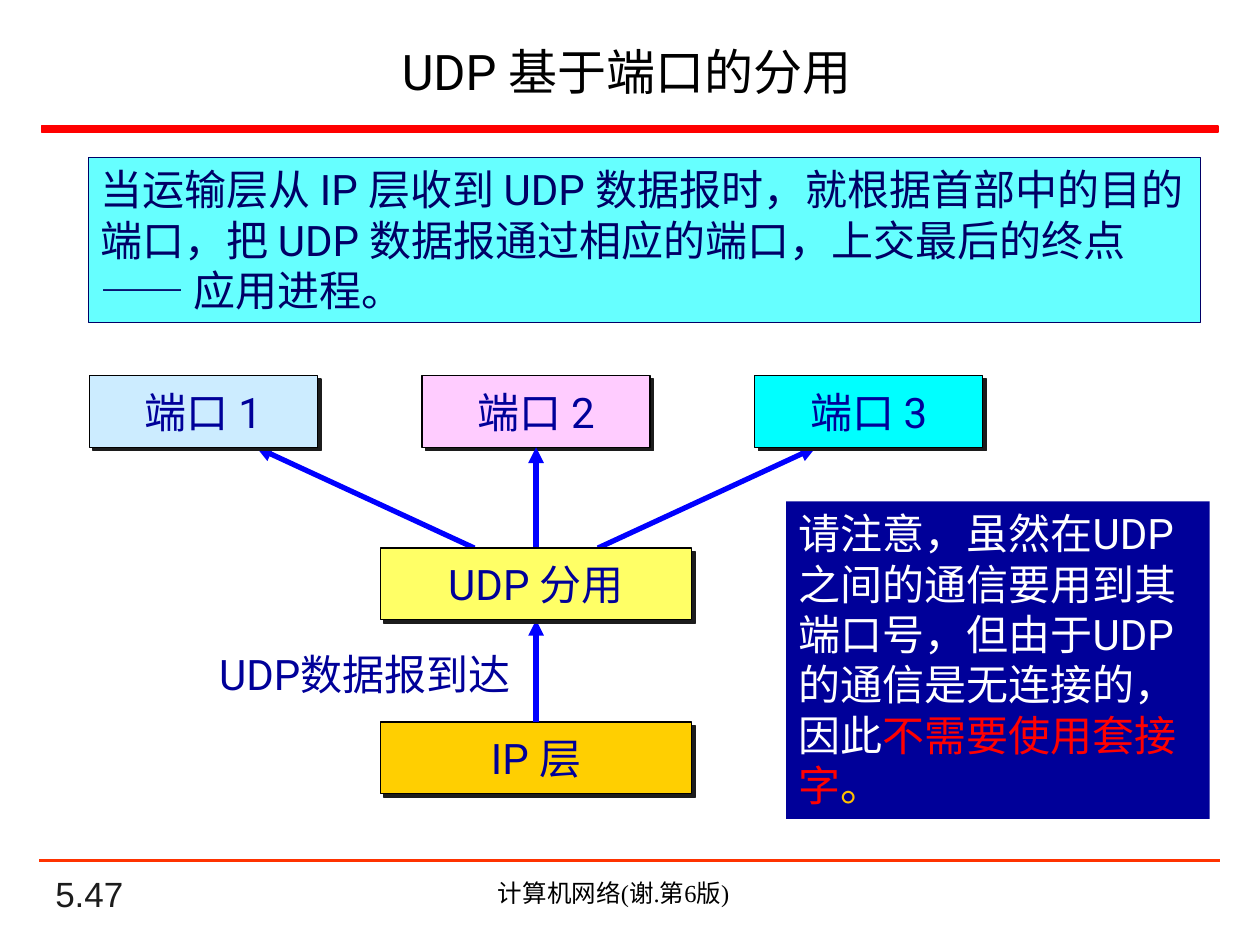
from dataclasses import dataclass

from lxml import etree
from pptx import Presentation, util as u
from pptx.dml.color import RGBColor
from pptx.enum import shapes, text
from pptx.oxml import ns

SANS = "Roboto"
NAVY = "000099"
BLACK = "000000"
MIDDLE, TOP = text.MSO_ANCHOR.MIDDLE, text.MSO_ANCHOR.TOP
LEFT, CENTER = text.PP_ALIGN.LEFT, text.PP_ALIGN.CENTER


@dataclass
class Span:
    words: str
    color: str = NAVY
    size: float = 24
    font: str = SANS


@dataclass
class Node:
    label: str
    left: float
    top: float
    width: float
    fill: str
    height: float = 0.57

    @property
    def center(self) -> float:
        return self.left + self.width / 2

    @property
    def bottom(self) -> float:
        return self.top + self.height


@dataclass
class Arrow:
    start: tuple
    end: tuple
    source: str = ""
    target: str = ""


def rgb(value: str) -> RGBColor:
    return RGBColor.from_string(value)


def add_child(parent, tag: str, **values):
    child = etree.SubElement(parent, ns.qn(tag))
    for name, value in values.items():
        child.set(name, str(value))
    return child


def write(box, spans: list, align=LEFT, anchor=TOP, wrap=True) -> None:
    frame = box.text_frame
    for name, value in {"word_wrap": wrap, "vertical_anchor": anchor}.items():
        setattr(frame, name, value)
    para = frame.paragraphs[0]
    para.alignment = align
    for item in spans:
        span = para.add_run()
        span.text = item.words
        for name, value in {"name": item.font, "size": u.Pt(item.size)}.items():
            setattr(span.font, name, value)
        span.font.color.rgb = rgb(item.color)


def add_text(page, place: tuple, spans: list, **layout):
    box = page.shapes.add_textbox(*map(u.Inches, place))
    write(box, spans, **layout)
    return box


def add_box(page, place: tuple, fill: str, line: str = "", weight: float = 0.75):
    box = page.shapes.add_shape(shapes.MSO_SHAPE.RECTANGLE, *map(u.Inches, place))
    box.shadow.inherit = False
    box.fill.solid()
    box.fill.fore_color.rgb = rgb(fill)
    if line:
        box.line.color.rgb = rgb(line)
        box.line.width = u.Pt(weight)
    else:
        box.line.fill.background()
    return box


def add_node(page, node: Node):
    box = add_box(page, (node.left, node.top, node.width, node.height), node.fill, BLACK)
    effects = box._element.spPr.find(ns.qn("a:effectLst"))
    shadow = add_child(effects, "a:outerShdw", dist=u.Pt(2.8), dir=45 * 60000,
                       algn="ctr", rotWithShape=0)
    add_child(shadow, "a:srgbClr", val="1C1C1C")
    write(box, [Span(node.label)], align=CENTER, anchor=MIDDLE, wrap=False)
    return box


def add_line(page, start: tuple, end: tuple, color: str, weight: float, arrow=False):
    line = page.shapes.add_connector(
        shapes.MSO_CONNECTOR.STRAIGHT, *map(u.Inches, (*start, *end)))
    line.line.color.rgb = rgb(color)
    line.line.width = u.Pt(weight)
    if arrow:
        add_child(line.line._get_or_add_ln(), "a:tailEnd", type="triangle")
    add_child(line._element.spPr, "a:effectLst")
    return line


def add_diagram(page) -> None:
    port_fills = ["CCECFF", "FFCCFF", "00FFFF"]
    nodes = {f"port{i + 1}": Node(f"端口 {i + 1}", 0.71 + 2.64 * i, 2.98, 1.81, fill)
             for i, fill in enumerate(port_fills)}
    nodes["udp"] = udp = Node("UDP 分用", 3.02, 4.35, 2.47, "FFFF66")
    nodes["ip"] = ip = Node("IP 层", 3.02, 5.73, 2.47, "FFCF01")
    middle, port_bottom = udp.center, nodes["port2"].bottom

    # Arrows lie over the first two boxes and under the others
    boxes = {key: add_node(page, nodes[key]) for key in ("ip", "port2")}
    add_text(page, (1.64, 5.1, 2.52, 0.51), [Span("UDP数据报到达")])
    arrows = [
        Arrow((middle, ip.top), (middle, udp.bottom), "ip", "udp"),
        Arrow((middle, udp.top), (middle, port_bottom), "udp", "port2"),
    ] + [
        Arrow((middle + side * 0.49, udp.top), (middle + side * 2.22, port_bottom))
        for side in (1, -1)
    ]
    lines = [add_line(page, arrow.start, arrow.end, "0000FF", 3, arrow=True)
             for arrow in arrows]
    for key in ("port3", "port1", "udp"):
        boxes[key] = add_node(page, nodes[key])

    # Vertical arrows join top and bottom side middles
    for arrow, line in zip(arrows, lines):
        if arrow.source:
            line.begin_connect(boxes[arrow.source], 0)
            line.end_connect(boxes[arrow.target], 2)


def main() -> None:
    deck = Presentation()
    deck.slide_width, deck.slide_height = u.Inches(10), u.Inches(7.5)
    page = deck.slides.add_slide(deck.slide_layouts[6])

    # Page frame: number, rules, footer
    add_text(page, (0.34, 6.98, 2.08, 0.33), [Span("5.47", "1C1C1C", 20, "Arial")],
             anchor=text.MSO_ANCHOR.BOTTOM)
    add_box(page, (0.33, 1, 9.34, 0.05), "FF0000", "FF0000", 1)
    add_line(page, (0.31, 6.83), (9.68, 6.83), "FF3300", 1.5)
    add_text(page, (2.83, 6.92, 4.08, 0.34),
             [Span("计算机网络(谢.第6版)", BLACK, 14, "Times New Roman")], align=CENTER)

    # Title
    add_text(page, (0.39, 0.22, 9.25, 0.69), [Span("UDP 基于端口的分用 ", BLACK, 28)],
             align=CENTER, anchor=MIDDLE)

    add_diagram(page)

    # Explanation and note
    summary = add_box(page, (0.7, 1.25, 8.83, 1.31), "66FFFF", "000066")
    write(summary, [Span(
        "当运输层从 IP 层收到 UDP 数据报时，就根据首部中的目的端口，"
        "把 UDP 数据报通过相应的端口，上交最后的终点 —— 应用进程。", "000066")])
    note = add_box(page, (6.24, 3.98, 3.36, 2.52), NAVY)
    write(note, [
        Span("请注意，虽然在UDP 之间的通信要用到其端口号，"
             "但由于UDP 的通信是无连接的，因此", "FFFFFF"),
        Span("不需要使用套接字", "FF0000"),
        Span("。", "FFC000"),
    ])

    deck.save("out.pptx")


if __name__ == "__main__":
    main()
